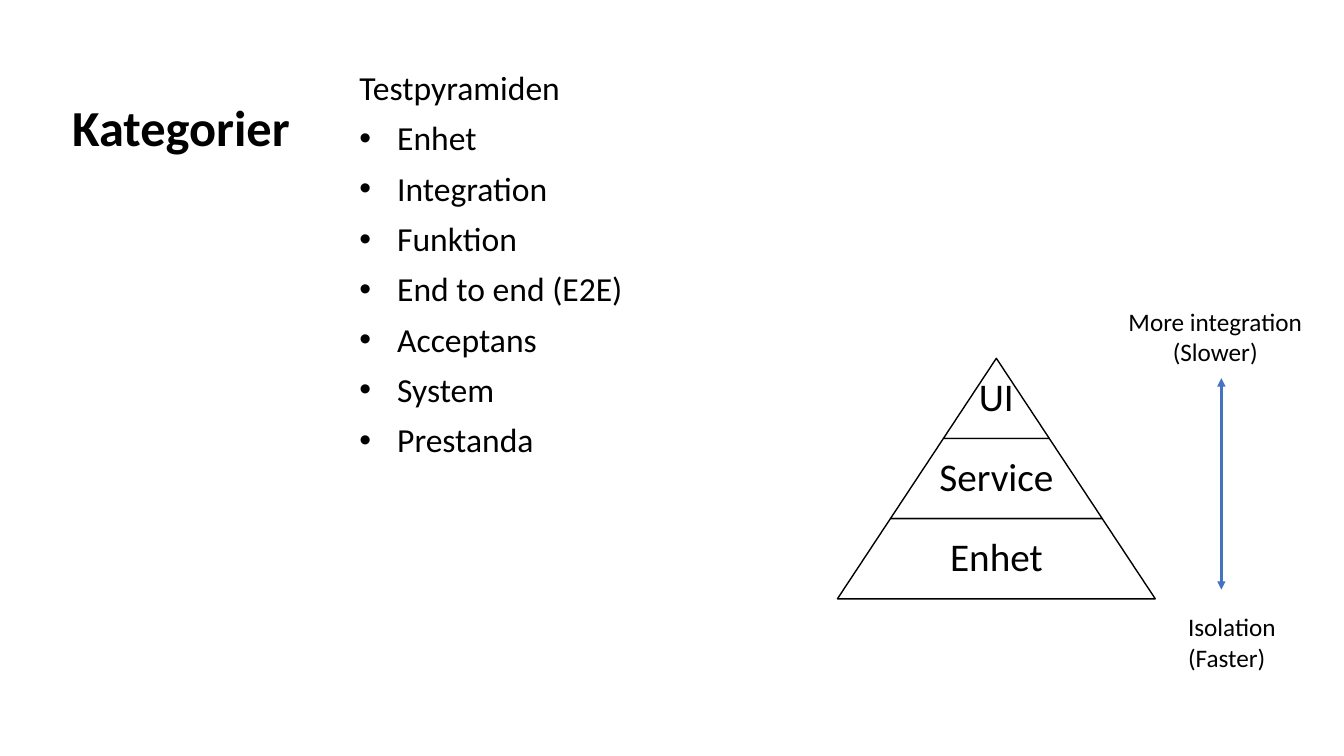
from lxml import etree
from pptx import Presentation
from pptx import util as u
from pptx.dml import color
from pptx.enum import shapes, text
from pptx.oxml import ns

COLORS = {"ink": "000000", "paper": "FFFFFF", "arrow": "4472C4"}
FONT = "Calibri"
CATEGORIES = ["Enhet", "Integration", "Funktion", "End to end (E2E)",
              "Acceptans", "System", "Prestanda"]
TIERS = ["UI", "Service", "Enhet"]
APEX_X, APEX_Y = 24.91, 9.03
TIER_HEIGHT, TIER_GROWTH = 2.02, 2.67
TIER_SLOPE = 0.661


def rgb(name):
    return color.RGBColor.from_string(COLORS[name])


def place(item, left, top, width, height):
    item.left, item.top = u.Cm(left), u.Cm(top)
    item.width, item.height = u.Cm(width), u.Cm(height)


def write(frame, lines, size, align=text.PP_ALIGN.LEFT, bold=False, spacing=1.0, before=0):
    frame.text = "\n".join(lines)
    for para in frame.paragraphs:
        para.alignment = align
        para.line_spacing = spacing
        para.space_before = u.Pt(before)
        for span in para.runs:
            span.font.name = FONT
            span.font.size = u.Pt(size)
            span.font.bold = bold
            span.font.color.rgb = rgb("ink")


def add_text(page, bounds, lines, size, wrap=True, **style):
    box = page.shapes.add_textbox(*map(u.Cm, bounds))
    frame = box.text_frame
    frame.word_wrap = wrap
    write(frame, lines, size, **style)
    return frame


def add_bullet(para):
    props = para._p.get_or_add_pPr()
    props.set("marL", str(u.Cm(0.95)))
    props.set("indent", str(u.Cm(-0.95)))
    etree.SubElement(props, ns.qn("a:buFont")).set("typeface", "Arial")
    etree.SubElement(props, ns.qn("a:buChar")).set("char", "•")


def add_title(page):
    title = page.shapes.title
    place(title, 1.32, 1.04, 6.48, 4.5)
    title.text_frame.vertical_anchor = text.MSO_ANCHOR.MIDDLE
    write(title.text_frame, ["Kategorier"], 36,
          align=text.PP_ALIGN.CENTER, bold=True, spacing=0.9)


def add_categories(page):
    frame = add_text(page, (8.81, 1.68, 24.79, 16.61), ["Testpyramiden", *CATEGORIES],
                     24, spacing=0.9, before=10)
    for para in frame.paragraphs[1:]:
        add_bullet(para)


def add_tier(page, level, label):
    width = TIER_GROWTH * (level + 1)
    top = APEX_Y + TIER_HEIGHT * level
    tier = page.shapes.add_shape(shapes.MSO_SHAPE.TRAPEZOID, 0, 0, 0, 0)
    place(tier, APEX_X + 0.2 - width / 2, top, width, TIER_HEIGHT)
    tier.adjustments[0] = TIER_SLOPE
    tier.shadow.inherit = False
    tier.fill.solid()
    tier.fill.fore_color.rgb = rgb("paper")
    tier.line.color.rgb = rgb("ink")
    tier.line.width = u.Pt(1)

    label_width = max(TIER_GROWTH, width * 0.65)
    frame = add_text(page, (APEX_X + 0.2 - label_width / 2, top, label_width, TIER_HEIGHT),
                     [label], 28, align=text.PP_ALIGN.CENTER, spacing=0.9)
    frame.vertical_anchor = text.MSO_ANCHOR.MIDDLE
    frame.margin_left = frame.margin_right = u.Cm(0.1)
    frame.margin_top = frame.margin_bottom = u.Cm(0.1)


def add_double_arrow(page, x, top, bottom):
    arrow = page.shapes.add_connector(shapes.MSO_CONNECTOR.STRAIGHT,
                                      u.Cm(x), u.Cm(top), u.Cm(x), u.Cm(bottom))
    arrow.line.color.rgb = rgb("arrow")
    arrow.line.width = u.Pt(1.75)
    outline = arrow.line._get_or_add_ln()
    for end in ("a:headEnd", "a:tailEnd"):
        etree.SubElement(outline, ns.qn(end)).set("type", "triangle")
    etree.SubElement(arrow._element.spPr, ns.qn("a:effectLst"))


def main():
    deck = Presentation()
    deck.slide_width, deck.slide_height = u.Cm(33.87), u.Cm(19.05)
    page = deck.slides.add_slide(deck.slide_layouts.get_by_name("Title Only"))
    add_title(page)
    add_categories(page)
    add_double_arrow(page, 30.78, 9.53, 14.86)
    for level, label in enumerate(TIERS):
        add_tier(page, level, label)
    slower = add_text(page, (28.19, 7.59, 4.93, 1.8), ["More integration", "(Slower)"],
                      18, wrap=False)
    slower.paragraphs[1].alignment = text.PP_ALIGN.CENTER
    add_text(page, (29.69, 15.29, 2.74, 1.8), ["Isolation", "(Faster)"], 18, wrap=False)
    deck.save("out.pptx")


if __name__ == "__main__":
    main()
